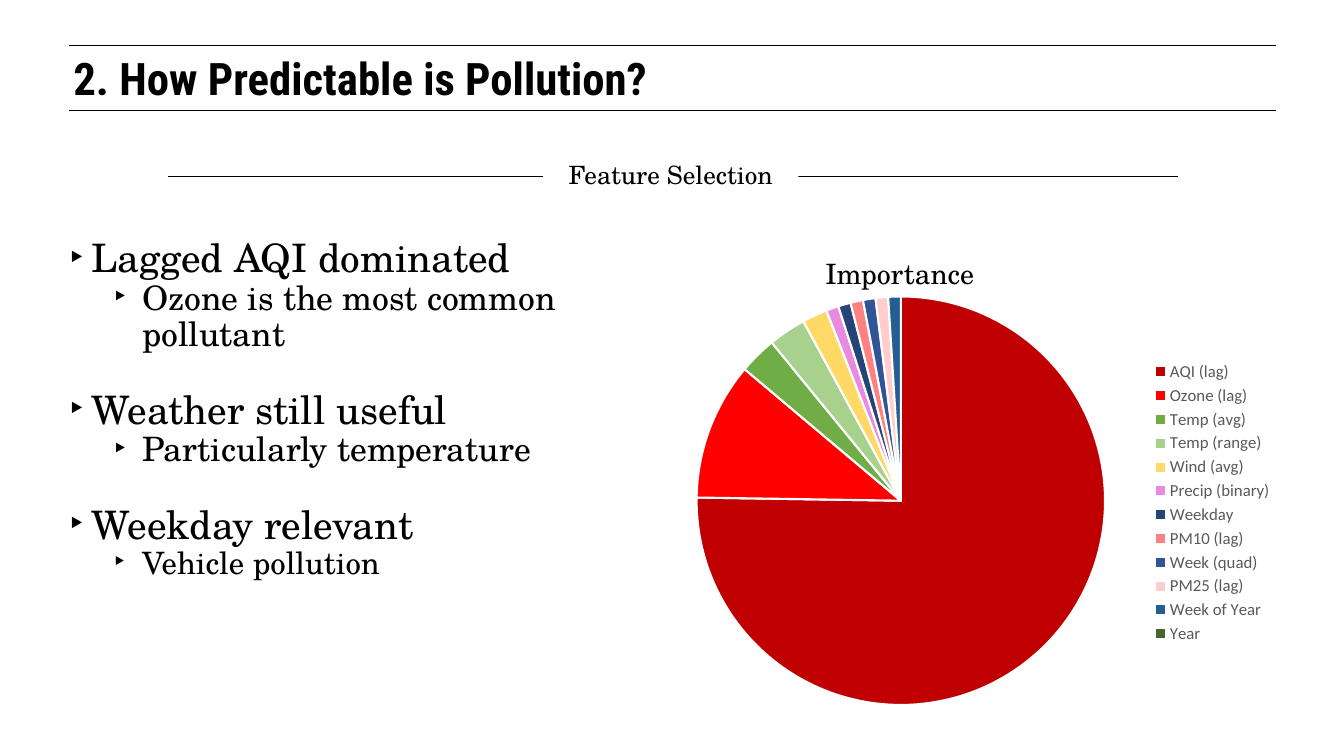
"""Build the feature selection slide on how predictable pollution is."""
from typing import NamedTuple

from lxml import etree
from pptx import Presentation
from pptx import util as u
from pptx.chart.data import CategoryChartData
from pptx.dml.color import RGBColor
from pptx.enum import chart as charts, shapes, text
from pptx.oxml import parse_xml
from pptx.oxml.ns import nsdecls, qn

BLACK = RGBColor(0, 0, 0)
WHITE = RGBColor(255, 255, 255)
GREY = RGBColor(0x59, 0x59, 0x59)
SERIF = "TeX Gyre Schola"
CONDENSED = "Roboto Condensed"
SANS = "Calibri"


class Rule(NamedTuple):
    left: float
    right: float
    y: float
    points: float


class Label(NamedTuple):
    words: str
    left: float
    top: float
    height: float
    size: int


class Point(NamedTuple):
    words: str
    level: int
    size: int
    gap: int = 0


class Feature(NamedTuple):
    name: str
    importance: int
    color: RGBColor


RULES = [Rule(1.75, 32.16, 1.14, 0.5), Rule(1.75, 32.16, 2.79, 0.5),
         Rule(4.24, 29.69, 4.45, 1)]
LABELS = [Label("Feature Selection", 13.69, 3.89, 1.02, 18),
          Label("Importance", 19.46, 6.32, 1.12, 20)]
LABEL_WIDTH = 6.43
FINDINGS = [
    Point("Lagged AQI dominated", 0, 28),
    Point("Ozone is the most common pollutant", 1, 24),
    Point("Weather still useful", 0, 28, 26),
    Point("Particularly temperature", 1, 24),
    Point("Weekday relevant", 0, 28, 26),
    Point("Vehicle pollution", 1, 22),
]
FEATURES = [
    Feature("AQI (lag)", 76, RGBColor(0xC0, 0x00, 0x00)),
    Feature("Ozone (lag)", 11, RGBColor(0xFE, 0x00, 0x00)),
    Feature("Temp (avg)", 3, RGBColor(0x70, 0xAD, 0x47)),
    Feature("Temp (range)", 3, RGBColor(0xA9, 0xD1, 0x8E)),
    Feature("Wind (avg)", 2, RGBColor(0xFF, 0xD9, 0x66)),
    Feature("Precip (binary)", 1, RGBColor(0xE7, 0x8A, 0xE0)),
    Feature("Weekday", 1, RGBColor(0x26, 0x44, 0x78)),
    Feature("PM10 (lag)", 1, RGBColor(0xFF, 0x81, 0x81)),
    Feature("Week (quad)", 1, RGBColor(0x2F, 0x55, 0x97)),
    Feature("PM25 (lag)", 1, RGBColor(0xFF, 0xCD, 0xCD)),
    Feature("Week of Year", 1, RGBColor(0x25, 0x5E, 0x91)),
    Feature("Year", 0, RGBColor(0x43, 0x68, 0x2B)),
]


def write(paragraph, words: str, *, size: int, font: str = SERIF, bold: bool = False,
          align=text.PP_ALIGN.LEFT) -> None:
    """Add black text to a paragraph in the given format."""
    paragraph.alignment = align
    run = paragraph.add_run()
    run.text = words
    run.font.size, run.font.name, run.font.bold = u.Pt(size), font, bold
    run.font.color.rgb = BLACK


def add_frame(slide, left: float, top: float, width: float, height: float):
    """Return the wrapping, marginless frame of a new text box."""
    frame = slide.shapes.add_textbox(*map(u.Cm, (left, top, width, height))).text_frame
    frame.word_wrap = True
    frame.margin_left = frame.margin_right = frame.margin_top = frame.margin_bottom = 0
    return frame


def draw_rule(slide, rule: Rule) -> None:
    """Draw a thin horizontal line."""
    line = slide.shapes.add_connector(shapes.MSO_CONNECTOR.STRAIGHT, u.Cm(rule.left),
                                      u.Cm(rule.y), u.Cm(rule.right), u.Cm(rule.y))
    line.line.color.rgb, line.line.width = BLACK, u.Pt(rule.points)
    etree.SubElement(line._element.spPr, qn("a:effectLst"))


def draw_label(slide, label: Label) -> None:
    """Draw a centred heading on a white rectangle."""
    box = slide.shapes.add_shape(
        shapes.MSO_SHAPE.RECTANGLE,
        *map(u.Cm, (label.left, label.top, LABEL_WIDTH, label.height)))
    box.shadow.inherit = False
    box.fill.solid()
    box.fill.fore_color.rgb = WHITE
    box.line.fill.background()
    frame = box.text_frame
    frame.word_wrap = True
    frame.auto_size = text.MSO_AUTO_SIZE.SHAPE_TO_FIT_TEXT
    frame.vertical_anchor = text.MSO_ANCHOR.MIDDLE
    write(frame.paragraphs[0], label.words, size=label.size, align=text.PP_ALIGN.CENTER)


def write_point(paragraph, point: Point) -> None:
    """Write one bulleted finding, indented by its level."""
    paragraph.level = point.level
    paragraph.line_spacing = 0.9
    paragraph.space_before = u.Pt(point.gap)
    write(paragraph, point.words, size=point.size)
    margin, hang = [(0.56, 0.56), (1.83, 0.71)][point.level]
    properties = paragraph._p.get_or_add_pPr()
    properties.set("marL", str(u.Cm(margin)))
    properties.set("indent", str(-u.Cm(hang)))
    etree.SubElement(properties, qn("a:buFont")).set("typeface", "Arial")
    etree.SubElement(properties, qn("a:buChar")).set("char", "‣")


def layout(x: float, y: float, w: float, h: float, target: str = ""):
    """Return a manual chart layout in fractions of the chart area."""
    inner = f'<c:layoutTarget val="{target}"/>' if target else ""
    places = "".join(f'<c:{tag} val="{value}"/>' for tag, value in
                     (("xMode", "edge"), ("yMode", "edge"),
                      ("x", x), ("y", y), ("w", w), ("h", h)))
    return parse_xml(f'<c:layout {nsdecls("c")}><c:manualLayout>{inner}{places}'
                     '</c:manualLayout></c:layout>')


def draw_importance(slide, features: list[Feature]) -> None:
    """Draw the pie of feature importance with its legend."""
    data = CategoryChartData()
    data.categories = [feature.name for feature in features]
    data.add_series("Importance", [feature.importance for feature in features])
    pie = slide.shapes.add_chart(charts.XL_CHART_TYPE.PIE,
                                 *map(u.Cm, (16.43, 7.14, 15.88, 11.07)), data).chart
    pie.has_title = False
    pie.font.name, pie.font.size, pie.font.color.rgb = SANS, u.Pt(10), BLACK
    pie.plots[0].vary_by_categories = True
    for index, feature in enumerate(features):
        part = pie.plots[0].series[0].points[index].format
        part.fill.solid()
        part.fill.fore_color.rgb = feature.color
        part.line.color.rgb, part.line.width = WHITE, u.Pt(1.5)
    pie.has_legend = True
    legend = pie.legend
    legend.position = charts.XL_LEGEND_POSITION.RIGHT
    legend.include_in_layout = False
    legend.font.name, legend.font.size, legend.font.color.rgb = SANS, u.Pt(12), GREY
    area = pie._chartSpace.chart.plotArea
    for old in area.findall(qn("c:layout")):
        area.remove(old)
    area.insert(0, layout(0.07, 0.03, 0.65, 0.93, "inner"))
    for old in legend._element.findall(qn("c:layout")):
        legend._element.remove(old)
    legend._element.find(qn("c:legendPos")).addnext(layout(0.79, 0.17, 0.2, 0.66))


def build() -> None:
    """Assemble and save the slide."""
    deck = Presentation()
    deck.slide_width, deck.slide_height = u.Cm(33.87), u.Cm(19.05)
    slide = deck.slides.add_slide(deck.slide_layouts[6])
    for rule in RULES:
        draw_rule(slide, rule)
    title = add_frame(slide, 1.85, 1.27, 30.07, 1.19)
    write(title.paragraphs[0], "2. How Predictable is Pollution?", size=32,
          font=CONDENSED, bold=True)
    findings = add_frame(slide, 1.75, 6.02, 13, 11.15)
    for index, point in enumerate(FINDINGS):
        write_point(findings.add_paragraph() if index else findings.paragraphs[0], point)
    draw_importance(slide, FEATURES)
    for label in LABELS:
        draw_label(slide, label)
    deck.save("out.pptx")


build()
